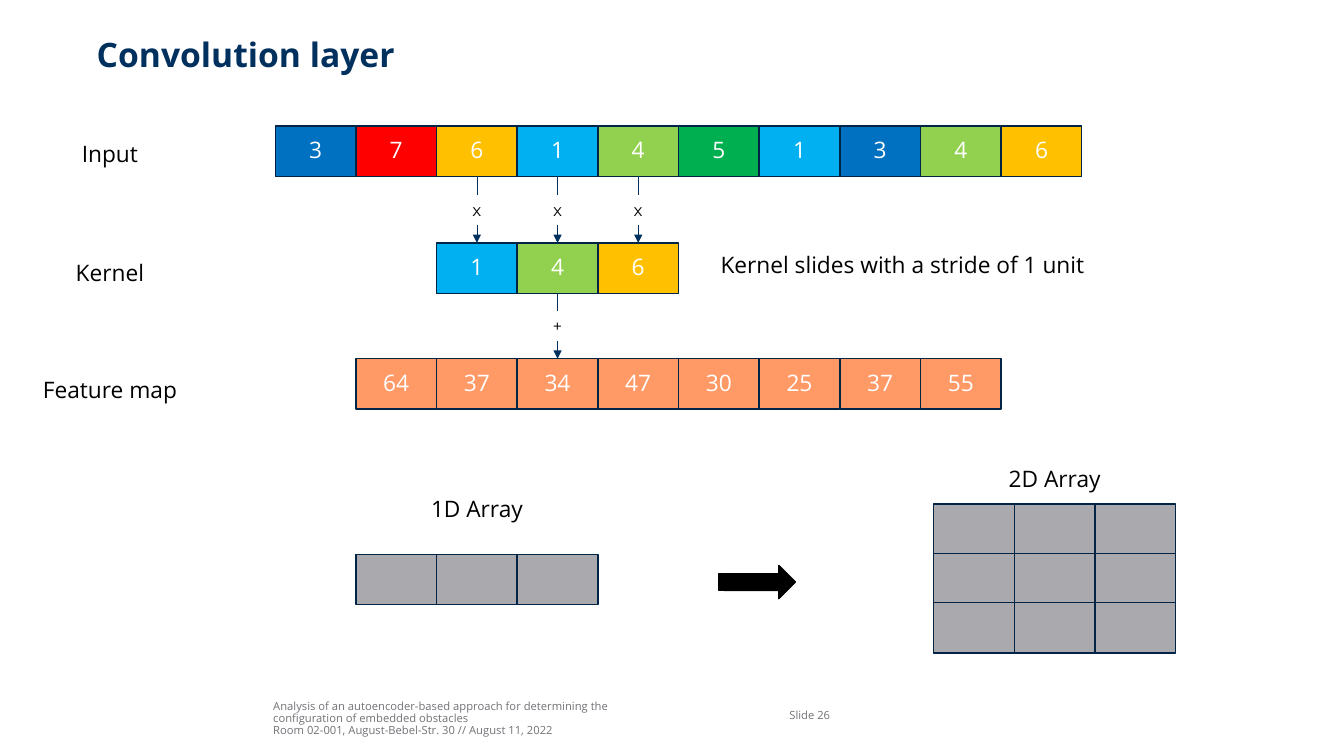
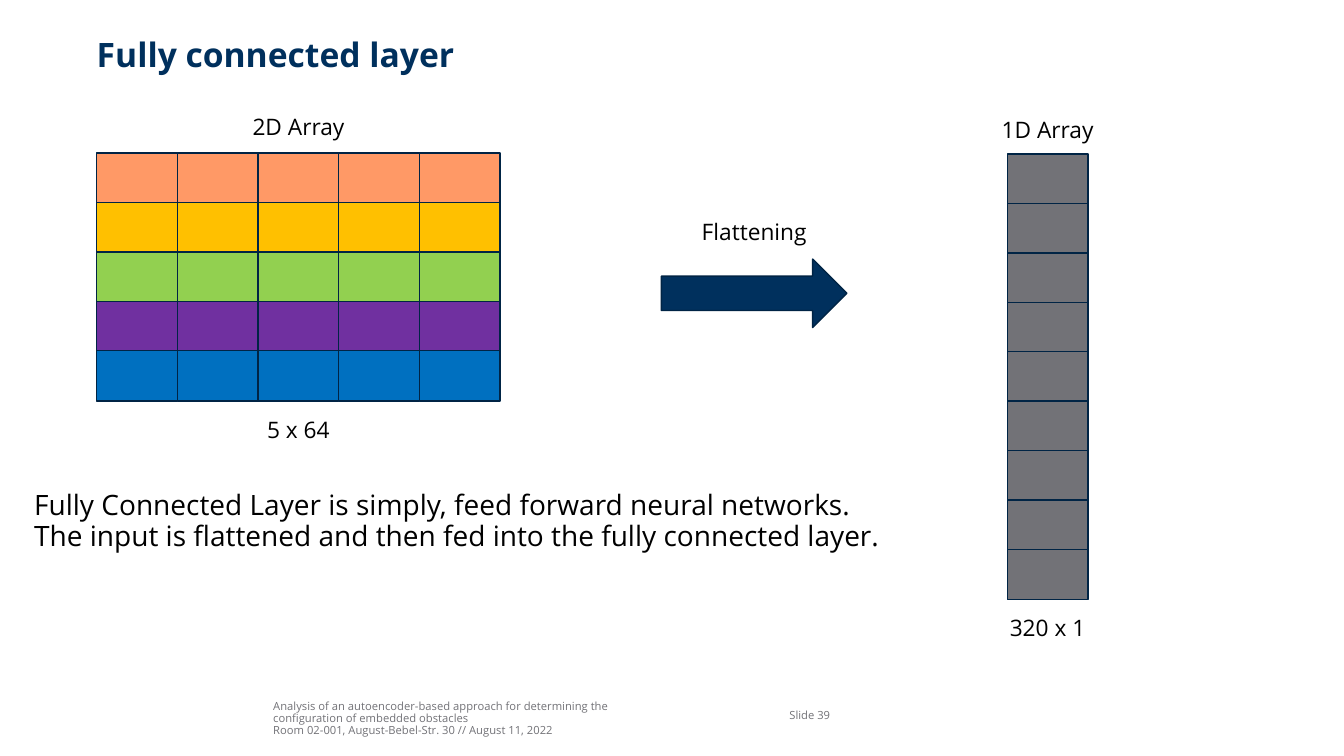
"""Build two slides on the convolution layer and the fully connected layer."""
import dataclasses

import pptx
import pptx.dml.color
import pptx.enum.dml
import pptx.enum.shapes
import pptx.enum.text
import pptx.oxml.ns
import pptx.oxml.xmlchemy
import pptx.util
from lxml import etree
from pptx.util import Inches


@dataclasses.dataclass(frozen=True)
class Theme:
    font: str = "Open Sans"
    symbol_font: str = "Montserrat"
    navy: str = "00305D"
    outline: str = "002445"
    black: str = "000000"
    white: str = "FFFFFF"
    gray: str = "727277"
    light_gray: str = "AAAAAE"
    orange: str = "FF9966"
    amber: str = "FFC000"
    lime: str = "92D050"
    green: str = "00B050"
    cyan: str = "00B0F0"
    blue: str = "0070C0"
    purple: str = "7030A0"
    red: str = "FF0000"
    title_size: float = 24
    body_size: float = 20
    label_size: float = 16.2
    symbol_size: float = 12
    footer_size: float = 8
    line_spacing: float = 0.9


THEME = Theme()
RGB = pptx.dml.color.RGBColor.from_string
SHAPE = pptx.enum.shapes.MSO_SHAPE
LEFT = pptx.enum.text.PP_ALIGN.LEFT
CENTER = pptx.enum.text.PP_ALIGN.CENTER
TOP = pptx.enum.text.MSO_ANCHOR.TOP
MIDDLE = pptx.enum.text.MSO_ANCHOR.MIDDLE
BOTTOM = pptx.enum.text.MSO_ANCHOR.BOTTOM

CELL_WIDTH = 0.8
CELL_HEIGHT = 0.5
ROW_PITCH = 0.49
FOOTER_LINES = [
    "Analysis of an autoencoder-based approach for determining the",
    "configuration of embedded obstacles",
    "Room 02-001, August-Bebel-Str. 30 // August 11, 2022",
]
VALUE_COLORS = {
    1: THEME.cyan, 3: THEME.blue, 4: THEME.lime,
    5: THEME.green, 6: THEME.amber, 7: THEME.red,
}


def add_box(slide, kind, box, fill, outline=None):
    """Add a flat preset shape."""
    shape = slide.shapes.add_shape(kind, *map(Inches, box))
    shape.shadow.inherit = False
    shape.fill.solid()
    shape.fill.fore_color.rgb = RGB(fill)
    if outline:
        shape.line.color.rgb = RGB(outline)
        shape.line.width = pptx.util.Pt(1)
    else:
        shape.line.fill.background()
    return shape


def write(shape, lines, size, color, align=LEFT, anchor=TOP, bold=False,
          margins=None, wrap=False, font=THEME.font, spacing=THEME.line_spacing):
    """Write one paragraph per line into a shape."""
    frame = shape.text_frame
    frame.word_wrap = wrap
    frame.vertical_anchor = anchor
    if margins is not None:
        frame.margin_left = frame.margin_right = Inches(margins)
        frame.margin_top = frame.margin_bottom = Inches(margins)
    for index, line in enumerate(lines):
        paragraph = frame.add_paragraph() if index else frame.paragraphs[0]
        paragraph.alignment = align
        paragraph.line_spacing = spacing
        run = paragraph.add_run()
        run.text = line
        run.font.name = font
        run.font.size = pptx.util.Pt(size)
        run.font.bold = bold
        run.font.color.rgb = RGB(color)


presentation = pptx.Presentation()
presentation.slide_width = Inches(13.33)
presentation.slide_height = Inches(7.5)

input_row = [(value, VALUE_COLORS[value]) for value in (3, 7, 6, 1, 4, 5, 1, 3, 4, 6)]
kernel_row = [(value, VALUE_COLORS[value]) for value in (1, 4, 6)]
feature_row = [(value, THEME.orange) for value in (64, 37, 34, 47, 30, 25, 37, 55)]
light_row = [("", THEME.light_gray)] * 3
color_rows = [
    [("", color)] * 5
    for color in (THEME.orange, THEME.amber, THEME.lime, THEME.purple, THEME.blue)
]

pages = [
    {
        "title": "Convolution layer",
        "number": 26,
        "grids": {
            "input": (2.73, 1.25, [input_row]),
            "kernel": (4.33, 2.41, [kernel_row]),
            "feature map": (3.53, 3.56, [feature_row]),
            "1D": (3.53, 5.5, [light_row]),
            "2D": (9.26, 5, [light_row] * 3),
        },
        "labels": [
            ("Input", 1.09, 1.37, 0.76),
            ("Kernel", 1.09, 2.55, 0.9),
            ("Feature map", 1.09, 3.71, 1.55),
            ("Kernel slides with a stride of 1 unit", 8.95, 2.47, 3.86),
            ("1D Array", 4.73, 4.89, 1.12),
            ("2D Array", 10.46, 4.59, 1.12),
        ],
        "arrow": (SHAPE.STRIPED_RIGHT_ARROW, (7.13, 5.61, 0.76, 0.33),
                  THEME.black, THEME.black),
    },
    {
        "title": "Fully connected layer",
        "number": 39,
        "grids": {
            "2D": (0.96, 1.52, color_rows),
            "1D": (9.99, 1.53, [[("", THEME.gray)]] * 9),
        },
        "labels": [
            ("2D Array", 2.96, 1.1, 1.12),
            ("5 x 64", 2.96, 4.11, 0.83),
            ("Flattening", 7.48, 2.14, 1.26),
            ("1D Array", 10.39, 1.13, 1.12),
            ("320 x 1", 10.39, 6.07, 0.96),
        ],
        "arrow": (SHAPE.RIGHT_ARROW, (6.56, 2.57, 1.84, 0.68),
                  THEME.navy, THEME.outline),
    },
]

slides = []
cells = {}
for page in pages:
    slide = presentation.slides.add_slide(presentation.slide_layouts[6])
    slides.append(slide)

    title = slide.shapes.add_textbox(*map(Inches, (0.96, 0.38, 11.57, 0.75)))
    write(title, [page["title"]], THEME.title_size, THEME.navy,
          bold=True, margins=0, wrap=True)
    footer = slide.shapes.add_textbox(*map(Inches, (2.71, 6.91, 4.9, 0.4)))
    write(footer, FOOTER_LINES, THEME.footer_size, THEME.gray,
          anchor=BOTTOM, margins=0, wrap=True)
    number = slide.shapes.add_textbox(*map(Inches, (7.83, 6.9, 0.77, 0.4)))
    write(number, [f"Slide {page['number']}"], THEME.footer_size, THEME.gray,
          anchor=MIDDLE, margins=0, wrap=True)

    for name, (left, top, rows) in page["grids"].items():
        for row_index, row in enumerate(rows):
            for column_index, (value, color) in enumerate(row):
                box = (left + column_index * CELL_WIDTH, top + row_index * ROW_PITCH,
                       CELL_WIDTH, CELL_HEIGHT)
                cell = add_box(slide, SHAPE.RECTANGLE, box, color, THEME.outline)
                if value:
                    write(cell, [str(value)], THEME.label_size, THEME.white,
                          align=CENTER, anchor=MIDDLE)
                cells[page["number"], name, row_index, column_index] = cell

    for text, center, top, width in page["labels"]:
        label = slide.shapes.add_textbox(
            Inches(center - width / 2), Inches(top), Inches(width), Inches(0.37))
        write(label, [text], THEME.label_size, THEME.black, align=CENTER)

    add_box(slide, *page["arrow"])

convolution_slide, connected_slide = slides

operations = [("x", "input", column + 2, "kernel", column) for column in range(3)]
operations.append(("+", "kernel", 1, "feature map", 2))
for symbol, source_name, source_column, target_name, target_column in operations:
    source = cells[26, source_name, 0, source_column]
    target = cells[26, target_name, 0, target_column]
    center = (source.left + source.width / 2) / Inches(1)
    middle = (source.top + source.height + target.top) / 2 / Inches(1)
    operator = add_box(convolution_slide, SHAPE.RECTANGLE,
                       (center - 0.15, middle - 0.15, 0.3, 0.3), THEME.white)
    write(operator, [symbol], THEME.symbol_size, THEME.black, align=CENTER,
          anchor=MIDDLE, font=THEME.symbol_font, spacing=1)
    for start, end in ((source, operator), (operator, target)):
        connector = convolution_slide.shapes.add_connector(
            pptx.enum.shapes.MSO_CONNECTOR.STRAIGHT, 0, 0, 0, 0)
        connector.begin_connect(start, 2)
        connector.end_connect(end, 0)
        connector.line.color.rgb = RGB(THEME.navy)
        connector.line.width = pptx.util.Pt(0.5)
        properties = connector.element.spPr
        if end is target:
            line = properties.find(pptx.oxml.ns.qn("a:ln"))
            etree.SubElement(line, pptx.oxml.ns.qn("a:tailEnd"), type="triangle")
        etree.SubElement(properties, pptx.oxml.ns.qn("a:effectLst"))

summary = connected_slide.shapes.add_textbox(*map(Inches, (0.24, 4.83, 8.65, 0.77)))
write(summary, [
    "Fully Connected Layer is simply, feed forward neural networks.",
    "The input is flattened and then fed into the fully connected layer.",
], THEME.body_size, THEME.black)

presentation.save("out.pptx")
